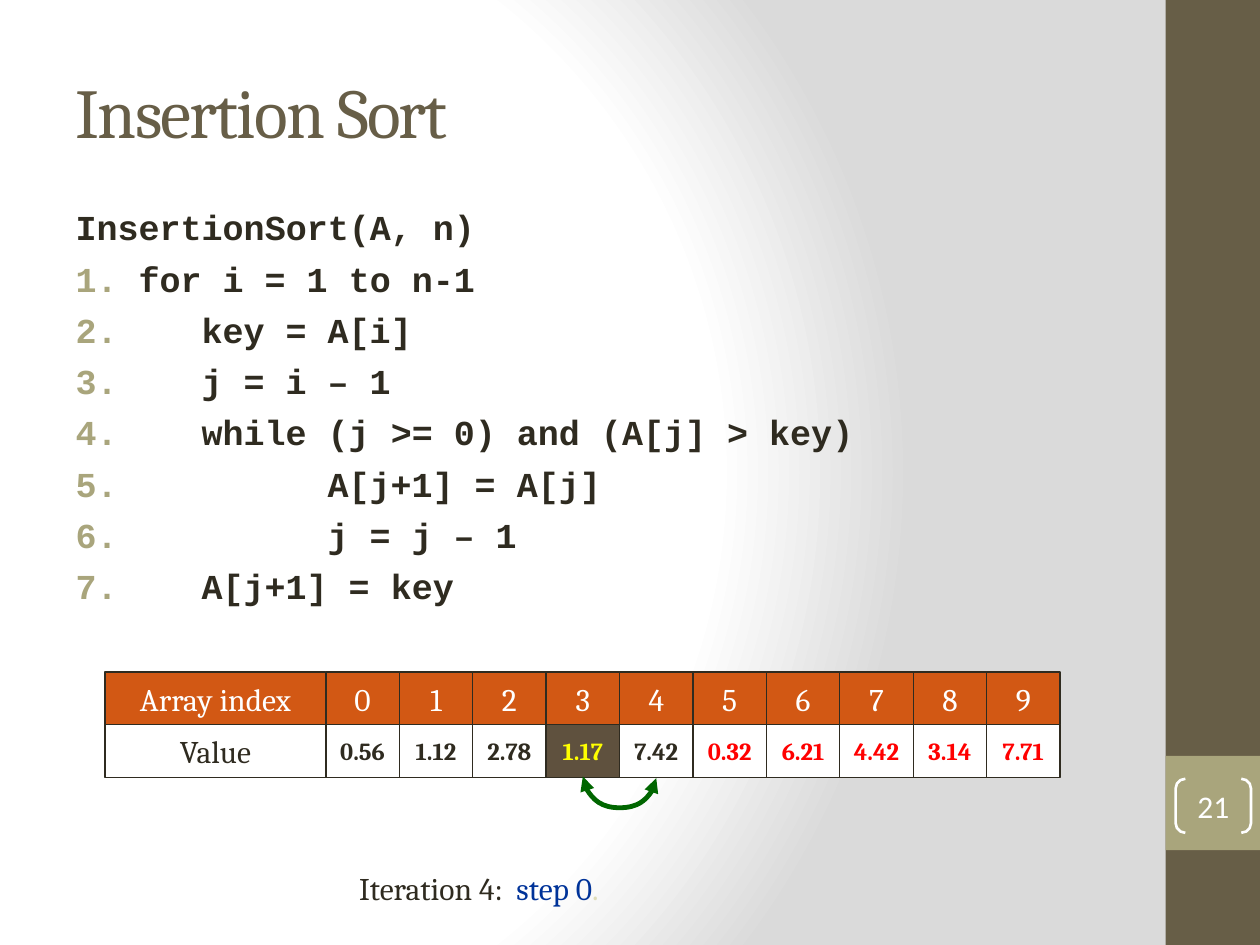
import pptx
import pptx.dml.color
import pptx.enum.shapes
import pptx.enum.text
import pptx.oxml
import pptx.oxml.ns
import pptx.util
from pptx.util import Cm, Pt

COLORS = {
    "white": "FFFFFF", "shade": "DADADA", "brown": "675E47", "olive": "A9A57C",
    "ink": "2F2B20", "header": "D25814", "key": "5F513E", "yellow": "FFFF00",
    "red": "FF0000", "green": "006600", "blue": "003399", "cream": "DFDCB7",
}
CODE = [
    "InsertionSort(A, n)",
    "for i = 1 to n-1",
    "\tkey = A[i]",
    "\tj = i – 1",
    "\twhile (j >= 0) and (A[j] > key)",
    "\t\tA[j+1] = A[j]",
    "\t\tj = j – 1",
    "\tA[j+1] = key",
]
VALUES = ["0.56", "1.12", "2.78", "1.17", "7.42",
          "0.32", "6.21", "4.42", "3.14", "7.71"]
KEY_INDEX, SORTED_COUNT = 3, 5
GRID_LEFT, GRID_TOP = 2.12, 13.55
LABEL_W, CELL_W, ROW_H = 4.45, 1.48, 1.06
SHAPE = pptx.enum.shapes.MSO_SHAPE
ALIGN = pptx.enum.text.PP_ALIGN
ANCHOR = pptx.enum.text.MSO_ANCHOR
NSDECLS = pptx.oxml.ns.nsdecls("a")


def rgb(name):
    return pptx.dml.color.RGBColor.from_string(COLORS[name])


def parse_a(xml):
    """Parse one DrawingML element, given without its namespace."""
    tag, rest = xml[1:].split(" ", 1)
    return pptx.oxml.parse_xml(f"<{tag} {NSDECLS} {rest}")


def place(sp, left, top, width, height):
    sp.left, sp.top, sp.width, sp.height = map(Cm, (left, top, width, height))


def add_run(p, text, size, color, font="Cambria", bold=False):
    r = p.add_run()
    r.text = text
    r.font.size, r.font.name, r.font.bold = Pt(size), font, bold
    r.font.color.rgb = rgb(color)
    return r


def add_box(s, box, fill=None, line=None, line_width=0.75, kind=SHAPE.RECTANGLE):
    sp = s.shapes.add_shape(kind, *map(Cm, box))
    sp.shadow.inherit = False
    if fill:
        sp.fill.solid()
        sp.fill.fore_color.rgb = rgb(fill)
    else:
        sp.fill.background()
    if line:
        sp.line.color.rgb = rgb(line)
        sp.line.width = Pt(line_width)
    else:
        sp.line.fill.background()
    return sp


def label(sp, text, size, color, **style):
    """Write one centred line that does not wrap."""
    tf = sp.text_frame
    tf.word_wrap = False
    tf.vertical_anchor = ANCHOR.MIDDLE
    p = tf.paragraphs[0]
    p.alignment = ALIGN.CENTER
    add_run(p, text, size, color, **style)


def set_background(s):
    stops = [(0, "white"), (75000, "white"), (100000, "shade")]
    gs = "".join(f'<a:gs pos="{pos}"><a:srgbClr val="{COLORS[c]}"/></a:gs>'
                 for pos, c in stops)
    s.background.fill.solid()
    solid = s.background._cSld.bg.bgPr[0]
    solid.getparent().replace(solid, parse_a(
        f'<a:gradFill rotWithShape="1"><a:gsLst>{gs}</a:gsLst><a:path path="circle">'
        '<a:fillToRect l="20000" t="50000" r="100000" b="50000"/>'
        '</a:path></a:gradFill>'))


def add_sidebar(s):
    add_box(s, (23.5, 0, 1.9, 19.05), "brown")
    add_box(s, (23.5, 15.24, 1.9, 1.9), "olive")
    sp = add_box(s, (23.7, 15.7, 1.52, 1.09), line="white", line_width=1.5,
                 kind=SHAPE.DOUBLE_BRACKET)
    sp.adjustments[0] = 0.18
    label(sp, "21", 18, "white", font="Calibri")


def fill_title(title):
    place(title, 1.27, 0.64, 21.17, 3.18)
    tf = title.text_frame
    tf.vertical_anchor = ANCHOR.MIDDLE
    p = tf.paragraphs[0]
    p.alignment = ALIGN.LEFT
    r = add_run(p, "Insertion Sort", 40, "brown")
    r.font._element.set("spc", "-100")


def fill_code(body):
    place(body, 1.27, 4.02, 21.17, 8.69)
    tf = body.text_frame
    tf.auto_size = pptx.enum.text.MSO_AUTO_SIZE.NONE
    for i, line in enumerate(CODE):
        p = tf.add_paragraph() if i else tf.paragraphs[0]
        pPr = p._p.get_or_add_pPr()
        for name, length in (("marL", 1.27), ("indent", -1.27), ("defTabSz", 2.54)):
            pPr.set(name, str(Cm(length)))
        if i:
            pPr.append(parse_a(
                f'<a:buClr ><a:srgbClr val="{COLORS["olive"]}"/></a:buClr>'))
            pPr.append(parse_a('<a:buFont typeface="Courier New"/>'))
            pPr.append(parse_a('<a:buAutoNum type="arabicPeriod"/>'))
        else:
            pPr.append(parse_a('<a:buNone />'))
        p.space_before = Pt(5.3 if i else 0)
        add_run(p, line, 20, "ink", font="Courier New", bold=True)


def add_array(s):
    value_top = GRID_TOP + ROW_H
    for top, text, fill, color in ((GRID_TOP, "Array index", "header", "white"),
                                   (value_top, "Value", "white", "ink")):
        label(add_box(s, (GRID_LEFT, top, LABEL_W, ROW_H), fill, "ink"),
              text, 18, color)
    for i, value in enumerate(VALUES):
        left = GRID_LEFT + LABEL_W + i * CELL_W
        fill, color = "white", "ink" if i < SORTED_COUNT else "red"
        if i == KEY_INDEX:
            fill, color = "key", "yellow"
        label(add_box(s, (left, GRID_TOP, CELL_W, ROW_H), "header", "ink"),
              str(i), 18, "white")
        label(add_box(s, (left, value_top, CELL_W, ROW_H), fill, "ink"),
              value, 14, color, bold=True)


def add_swap_arrow(s):
    """Draw the double-headed curve under the two compared cells."""
    depth = 0.035
    x = GRID_LEFT + LABEL_W + (KEY_INDEX + 1) * CELL_W
    y = GRID_TOP + 2 * ROW_H
    cxn = s.shapes.add_connector(
        pptx.enum.shapes.MSO_CONNECTOR.CURVE,
        Cm(x + depth / 2), Cm(y - CELL_W / 2), Cm(x - depth / 2), Cm(y + CELL_W / 2))
    cxn.line.color.rgb = rgb("green")
    cxn.line.width = Pt(2.75)
    spPr = cxn._element.spPr
    spPr.xfrm.set("rot", str(270 * 60000))
    geom = spPr.find(pptx.oxml.ns.qn("a:prstGeom"))
    geom.get_or_add_avLst().append(parse_a('<a:gd name="adj1" fmla="val 1800000"/>'))
    ln = cxn.line._get_or_add_ln()
    for end in ("headEnd", "tailEnd"):
        ln.append(parse_a(f'<a:{end} type="triangle"/>'))
    spPr.append(parse_a('<a:effectLst />'))


def add_caption(s):
    sp = s.shapes.add_textbox(Cm(6.99), Cm(17.4), Cm(10.36), Cm(1.02))
    tf = sp.text_frame
    tf.word_wrap = True
    p = tf.paragraphs[0]
    for text, color in (("Iteration 4:  ", "ink"), ("step 0", "blue"), (".", "cream")):
        add_run(p, text, 18, color)


def main():
    prs = pptx.Presentation()
    prs.slide_width, prs.slide_height = Cm(25.4), Cm(19.05)
    s = prs.slides.add_slide(prs.slide_layouts[1])
    set_background(s)
    add_sidebar(s)
    fill_title(s.shapes.title)
    fill_code(s.placeholders[1])
    add_array(s)
    add_swap_arrow(s)
    add_caption(s)
    prs.save("out.pptx")


if __name__ == "__main__":
    main()
